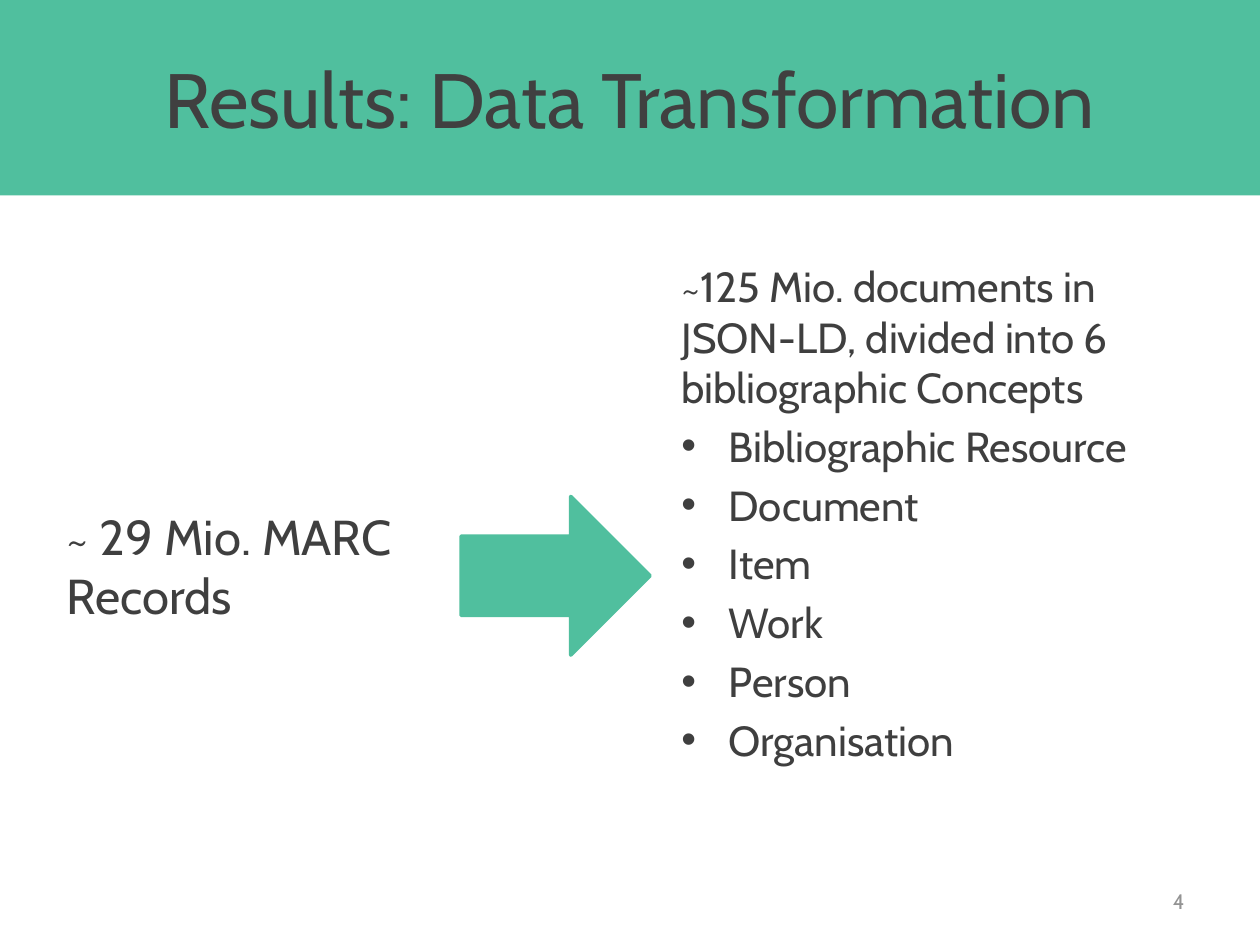
from dataclasses import dataclass

from lxml.etree import SubElement
from pptx import Presentation
from pptx.dml.color import RGBColor as RGB
from pptx.enum.shapes import MSO_SHAPE as Shape
from pptx.enum.text import MSO_ANCHOR as Anchor, PP_ALIGN as Align
from pptx.oxml.ns import qn
from pptx.util import Pt


@dataclass(frozen=True)
class Theme:
    font: str = "Cabin"
    accent: RGB = RGB(0x50, 0xBF, 0x9E)
    heading: RGB = RGB(0x40, 0x40, 0x40)
    body: RGB = RGB(0x3F, 0x3F, 0x3F)
    muted: RGB = RGB(0x93, 0x93, 0x93)
    title_size: int = 44
    lead_size: int = 28
    list_size: int = 24
    number_size: int = 12
    para_gap: float = 0.2  # space before, as a share of the type size
    bullet_indent: int = 27


class SlideBuilder:
    def __init__(self, prs, theme):
        self.theme = theme
        self.slide = prs.slides.add_slide(prs.slide_layouts[5])

    def add_run(self, p, text, size, color, align=Align.LEFT):
        p.alignment = align
        r = p.add_run()
        r.text = text
        formats = {"name": self.theme.font, "size": Pt(size), "bold": False}
        for name, value in formats.items():
            setattr(r.font, name, value)
        r.font.color.rgb = color

    def bullet(self, p):
        pPr = p._p.get_or_add_pPr()
        indent = Pt(self.theme.bullet_indent)
        pPr.set("marL", str(indent))
        pPr.set("indent", str(-indent))
        SubElement(pPr, qn("a:buFont")).set("typeface", "Arial")
        SubElement(pPr, qn("a:buChar")).set("char", "•")

    def title(self, text, box):
        sp = self.slide.shapes.title
        for name, value in zip(("left", "top", "width", "height"), box):
            setattr(sp, name, Pt(value))
        sp.fill.solid()
        sp.fill.fore_color.rgb = self.theme.accent
        tf = sp.text_frame
        tf.word_wrap, tf.vertical_anchor = True, Anchor.MIDDLE
        self.add_run(tf.paragraphs[0], text, self.theme.title_size,
                     self.theme.heading, Align.CENTER)

    def text(self, text, box, size, color, bullets=(), gap=True,
             align=Align.LEFT, anchor=Anchor.TOP):
        tf = self.slide.shapes.add_textbox(*map(Pt, box)).text_frame
        tf.word_wrap, tf.vertical_anchor = True, anchor
        for i, line in enumerate((text, *bullets)):
            p = tf.add_paragraph() if i else tf.paragraphs[0]
            if gap:
                p.space_before = Pt(size * self.theme.para_gap)
            self.add_run(p, line, size, color, align)
            if i:
                self.bullet(p)

    def arrow(self, box):
        sp = self.slide.shapes.add_shape(Shape.RIGHT_ARROW, *map(Pt, box))
        sp.shadow.inherit = False
        sp.fill.solid()
        sp.fill.fore_color.rgb = self.theme.accent
        sp.line.color.rgb = self.theme.accent
        sp.line.width = Pt(2)


def main():
    prs = Presentation()
    prs.slide_width, prs.slide_height = Pt(720), Pt(540)
    theme = Theme()
    s = SlideBuilder(prs, theme)

    # Title band
    s.title("Results: Data Transformation", (0, 0, 720, 111.6))

    # Source records, arrow, resulting documents
    s.text("~ 29 Mio. MARC Records", (31, 285.8, 216, 79.2),
           theme.lead_size, theme.body)
    s.text("~125 Mio. documents in JSON-LD, divided into 6 bibliographic Concepts",
           (382.3, 145.4, 318.2, 356.4), theme.list_size, theme.body,
           bullets=("Bibliographic Resource", "Document", "Item",
                    "Work", "Person", "Organisation"))
    s.arrow((263.5, 283.7, 108, 90.7))

    # Slide number
    s.text("4", (516.2, 500.4, 167.8, 28.8), theme.number_size, theme.muted,
           gap=False, align=Align.RIGHT, anchor=Anchor.MIDDLE)

    prs.save("out.pptx")


if __name__ == "__main__":
    main()
